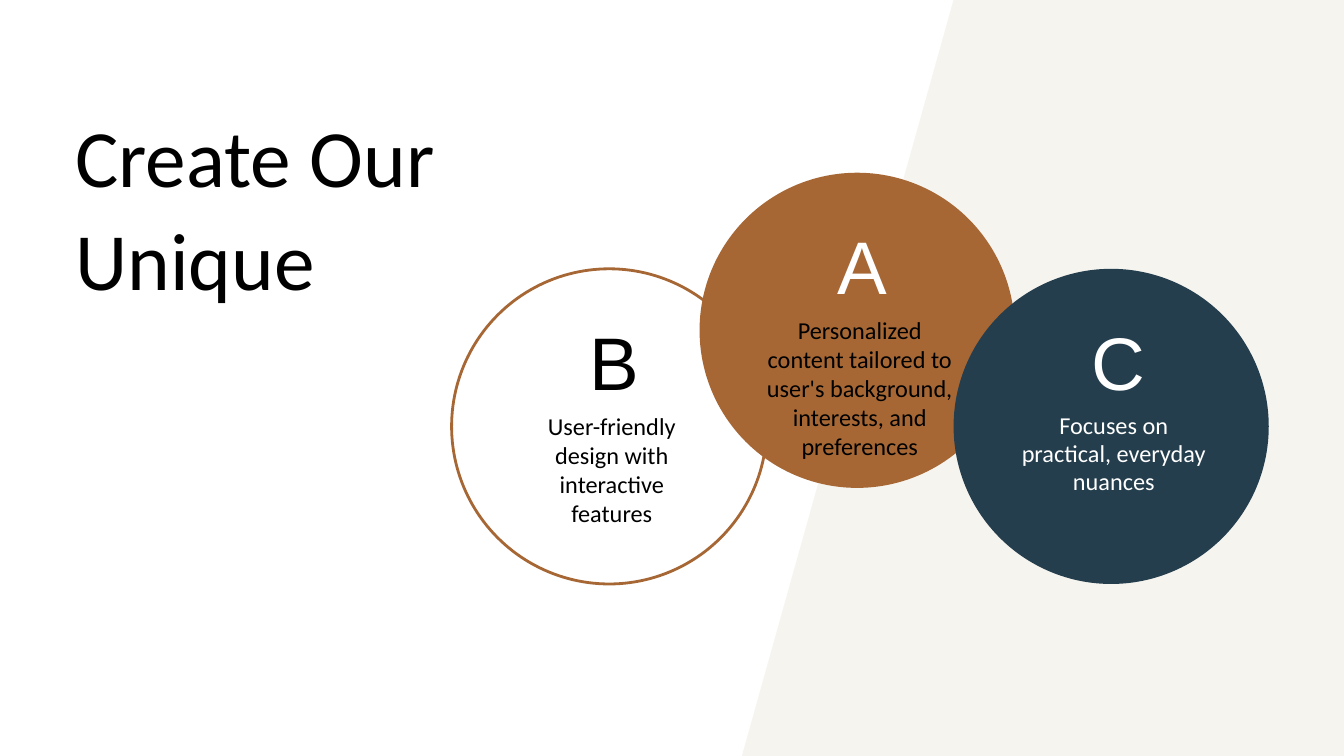
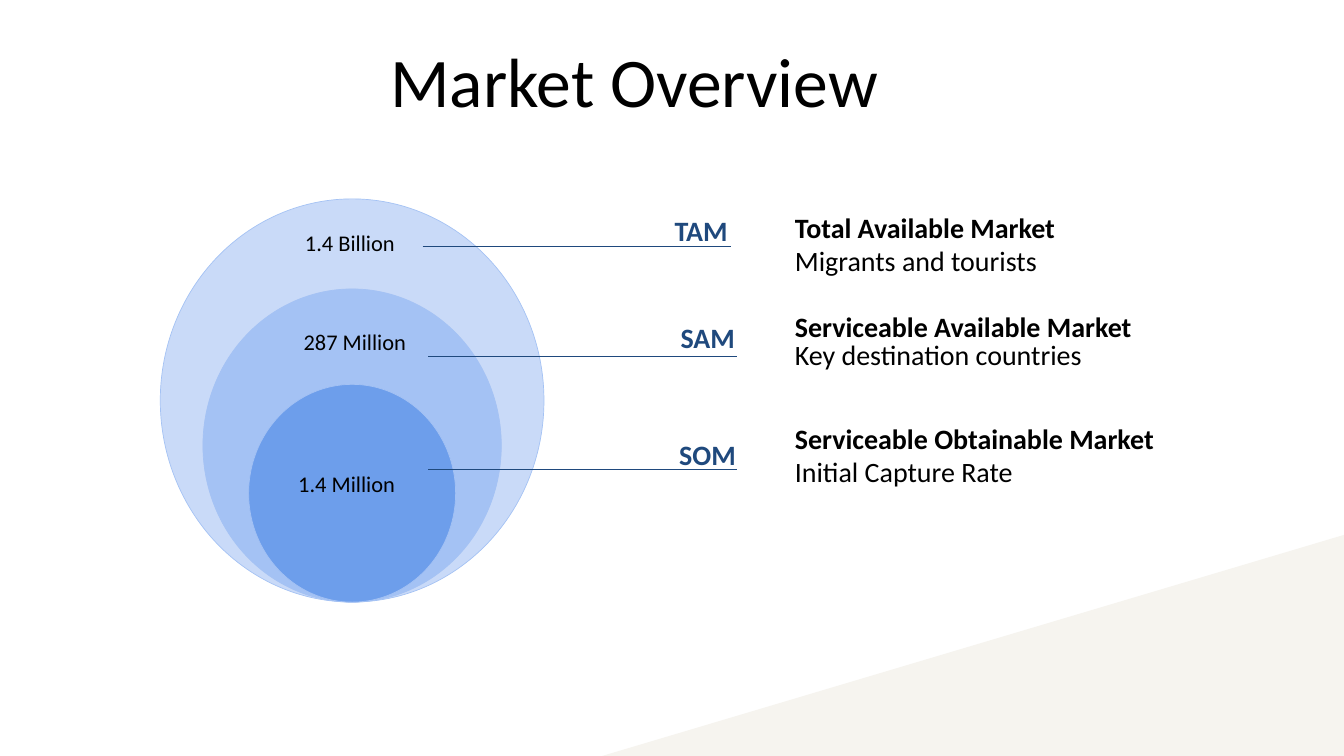
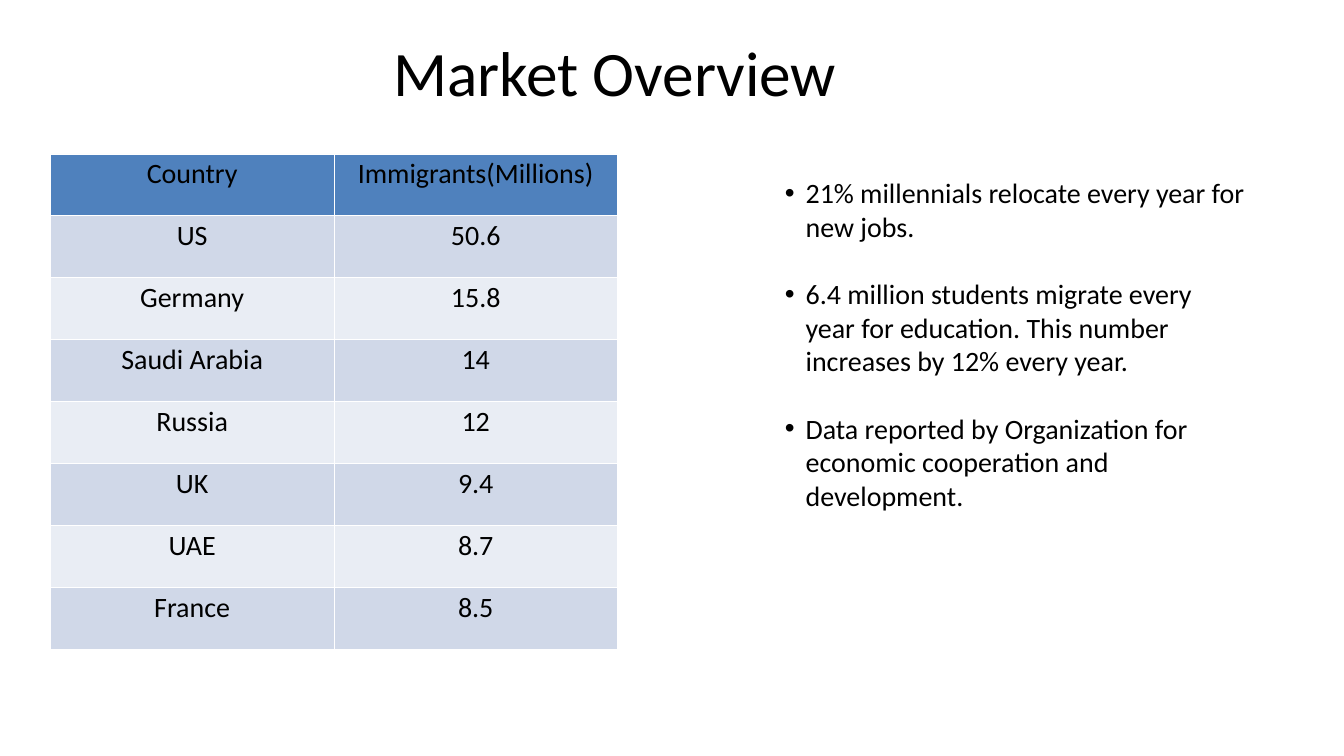
from lxml import etree
from pptx import Presentation
from pptx.dml.color import RGBColor
from pptx.enum import shapes, text
from pptx.oxml import ns
from pptx.util import Inches, Pt

FONT = "Calibri"
BLACK, WHITE, CREAM = "000000", "FFFFFF", "F6F4EF"
BROWN, TEAL, NAVY = "A66735", "243E4D", "1F497D"
RING_LINE = "A4C2F4"
HEADER_FILL, BAND_FILLS = "4F81BD", ("D0D8E8", "E9EDF4")

CIRCLE_SIZE = 4.69
FEATURES = [
    {"letter": "B", "left": 6.72, "top": 4, "fill": WHITE, "line": BROWN,
     "letter_color": BLACK, "color": BLACK, "height": 1.75, "spacing": None,
     "text": "User-friendly design with interactive features"},
    {"letter": "A", "left": 10.41, "top": 2.57, "fill": BROWN, "line": None,
     "letter_color": WHITE, "color": BLACK, "height": 2.19, "spacing": None,
     "text": "Personalized content tailored to user's background, interests, and preferences"},
    {"letter": "C", "left": 14.19, "top": 4, "fill": TEAL, "line": None,
     "letter_color": WHITE, "color": WHITE, "height": 1.27, "spacing": Pt(30),
     "text": "Focuses on practical, everyday nuances"},
]

RING_CENTER, RING_BOTTOM = 5.24, 8.96
RINGS = [(5.71, 6, "C9DAF8"), (4.44, 4.66, "A4C2F4"), (3.08, 3.24, "6D9EEB")]
RING_VALUES = [
    ("1.4 Billion", (4.44, 3.36, 1.59, 0.5)),
    ("287 Million", (4.42, 4.83, 1.84, 0.5)),
    ("1.4 Million", (4.34, 6.95, 1.84, 0.5)),
]
LEADER_LENGTH = 4.59
MARKETS = [
    ("TAM", 9.94, 3, 6.29, 3.66),
    ("SAM", 10.03, 4.59, 6.37, 5.31),
    ("SOM", 10.01, 6.33, 6.37, 6.98),
]
DEFINITION_LEFT = 11.73
DEFINITIONS = [
    (3.08, 4.11, 1.11, [("Total Available Market", True), ("Migrants and tourists", False)]),
    (4.97, 7.69, 0.61, [("Key destination countries", False)]),
    (4.56, 5.36, 0.61, [("Serviceable Available Market", True)]),
    (6.72, 3.53, 0.61, [("Initial Capture Rate", False)]),
    (6.22, 5.69, 0.61, [("Serviceable Obtainable Market", True)]),
]

IMMIGRANTS = [
    ("Country", "Immigrants(Millions)"),
    ("US", "50.6"),
    ("Germany", "15.8"),
    ("Saudi Arabia", "14"),
    ("Russia", "12"),
    ("UK", "9.4"),
    ("UAE", "8.7"),
    ("France", "8.5"),
]
TABLE_BOX = (0.75, 2.29, 8.44, 7.37)
FACTS = [
    "21% millennials relocate every year for new jobs.",
    "6.4 million students migrate every year for education. This number increases by 12% every year.",
    "Data reported by Organization for economic cooperation and development.",
]


def rgb(color):
    return RGBColor.from_string(color)


def inches(box):
    return [Inches(length) for length in box]


def style(paragraph, size, color=BLACK, font=FONT, bold=False, align=None, spacing=None):
    paragraph.font.name = font
    paragraph.font.size = Pt(size)
    paragraph.font.bold = bold
    paragraph.font.color.rgb = rgb(color)
    paragraph.alignment = align
    if spacing:
        paragraph.line_spacing = spacing


def set_frame(frame, inset_x, inset_y):
    frame.word_wrap = True
    frame.auto_size = text.MSO_AUTO_SIZE.NONE
    frame.vertical_anchor = text.MSO_ANCHOR.TOP
    frame.margin_left = frame.margin_right = Inches(inset_x)
    frame.margin_top = frame.margin_bottom = Inches(inset_y)


def add_text(slide, box, lines, size, inset_x=0.1, inset_y=0.05, **look):
    frame = slide.shapes.add_textbox(*inches(box)).text_frame
    set_frame(frame, inset_x, inset_y)
    for index, line in enumerate(lines):
        paragraph = frame.add_paragraph() if index else frame.paragraphs[0]
        paragraph.text = line
        style(paragraph, size, **look)
    return frame.paragraphs


def paint(shape, fill, line=None, width=0.75):
    shape.shadow.inherit = False
    shape.fill.solid()
    shape.fill.fore_color.rgb = rgb(fill)
    if line:
        shape.line.color.rgb = rgb(line)
        shape.line.width = Pt(width)
    else:
        shape.line.fill.background()


def add_shape(slide, kind, box, fill, line=None, width=0.75):
    paint(slide.shapes.add_shape(kind, *inches(box)), fill, line, width)


def add_band(slide, corners):
    points = [inches(corner) for corner in corners]
    builder = slide.shapes.build_freeform(*points[0])
    builder.add_line_segments(points[1:])
    paint(builder.convert_to_shape(), CREAM)


def add_leader(slide, left, top):
    leader = slide.shapes.add_connector(
        shapes.MSO_CONNECTOR.STRAIGHT, *inches((left, top, left + LEADER_LENGTH, top)))
    leader.line.color.rgb = rgb(NAVY)
    leader.line.width = Pt(0.75)
    etree.SubElement(leader._element.spPr, ns.qn("a:effectLst"))


def add_slide(presentation, title, box, size, spacing):
    slide = presentation.slides.add_slide(presentation.slide_layouts[5])
    shape = slide.shapes.title
    shape.left, shape.top, shape.width, shape.height = inches(box)
    shape.text_frame.text = title
    set_frame(shape.text_frame, 0, 0)
    style(shape.text_frame.paragraphs[0], size, align=text.PP_ALIGN.LEFT, spacing=Pt(spacing))
    return slide


def build_features(presentation):
    slide = add_slide(presentation, "Create Our Unique", (1.12, 1.49, 7.38, 3.05), 87.1, 110.6)
    add_band(slide, [(14.19, 0), (20, 0), (20, 11.25), (11.04, 11.25)])
    for feature in FEATURES:
        box = (feature["left"], feature["top"], CIRCLE_SIZE, CIRCLE_SIZE)
        add_shape(slide, shapes.MSO_SHAPE.OVAL, box, feature["fill"], feature["line"], 3)
    for feature in FEATURES:
        left, top = feature["left"], feature["top"]
        add_text(slide, (left + 2.06, top + 0.48, 0.66, 1.49), [feature["letter"]], 79.8, 0, 0,
                 color=feature["letter_color"], font="Arial",
                 align=text.PP_ALIGN.CENTER, spacing=Pt(111.7))
        add_text(slide, (left + 0.97, top + 2.12, 2.83, feature["height"]), [feature["text"]],
                 26, 0, 0, color=feature["color"], align=text.PP_ALIGN.CENTER,
                 spacing=feature["spacing"])


def build_market_sizes(presentation):
    slide = add_slide(presentation, "Market Overview", (5.81, 0.35, 10.14, 1.46), 74.6, 104.4)
    add_band(slide, [(8.96, 11.25), (20, 7.96), (20, 11.25)])
    for width, height, fill in RINGS:
        box = (RING_CENTER - width / 2, RING_BOTTOM - height, width, height)
        add_shape(slide, shapes.MSO_SHAPE.OVAL, box, fill, RING_LINE)
    for name, left, top, leader_left, leader_top in MARKETS:
        paragraphs = add_text(slide, (left, top, 3.6, 1.11), [name], 30, 0.1, 0.1,
                              color=NAVY, bold=True, spacing=1.15)
        paragraphs[0].space_after = Pt(16)
        add_leader(slide, leader_left, leader_top)
    for top, width, height, lines in DEFINITIONS:
        box = (DEFINITION_LEFT, top, width, height)
        paragraphs = add_text(slide, box, [line for line, _ in lines], 30)
        for paragraph, (_, bold) in zip(paragraphs, lines):
            paragraph.font.bold = bold
    for value, box in RING_VALUES:
        add_text(slide, box, [value], 24)


def add_immigrant_table(slide):
    table = slide.shapes.add_table(len(IMMIGRANTS), 2, *inches(TABLE_BOX)).table
    for row, values in enumerate(IMMIGRANTS):
        for column, value in enumerate(values):
            cell = table.cell(row, column)
            cell.text = value
            cell.fill.solid()
            cell.fill.fore_color.rgb = rgb(BAND_FILLS[(row - 1) % 2] if row else HEADER_FILL)
            style(cell.text_frame.paragraphs[0], 30, align=text.PP_ALIGN.CENTER)


def add_bullet(paragraph):
    properties = paragraph._p.get_or_add_pPr()
    properties.set("marL", str(Inches(0.31)))
    properties.set("indent", str(-Inches(0.31)))
    font = etree.SubElement(properties, ns.qn("a:buFont"), typeface="Arial")
    font.addnext(etree.Element(ns.qn("a:buChar"), char="•"))
    properties.append(properties.find(ns.qn("a:defRPr")))


def build_immigrants(presentation):
    slide = add_slide(presentation, "Market Overview", (5.85, 0.3, 9.06, 1.33), 67.8, 94.9)
    add_shape(slide, shapes.MSO_SHAPE.RECTANGLE, TABLE_BOX, CREAM)
    add_immigrant_table(slide)
    for paragraph in add_text(slide, (11.58, 2.57, 7.08, 6.16), FACTS, 30):
        paragraph.space_after = Pt(36)
        add_bullet(paragraph)


def main():
    presentation = Presentation()
    presentation.slide_width, presentation.slide_height = Inches(20), Inches(11.25)
    build_features(presentation)
    build_market_sizes(presentation)
    build_immigrants(presentation)
    presentation.save("out.pptx")


if __name__ == "__main__":
    main()
